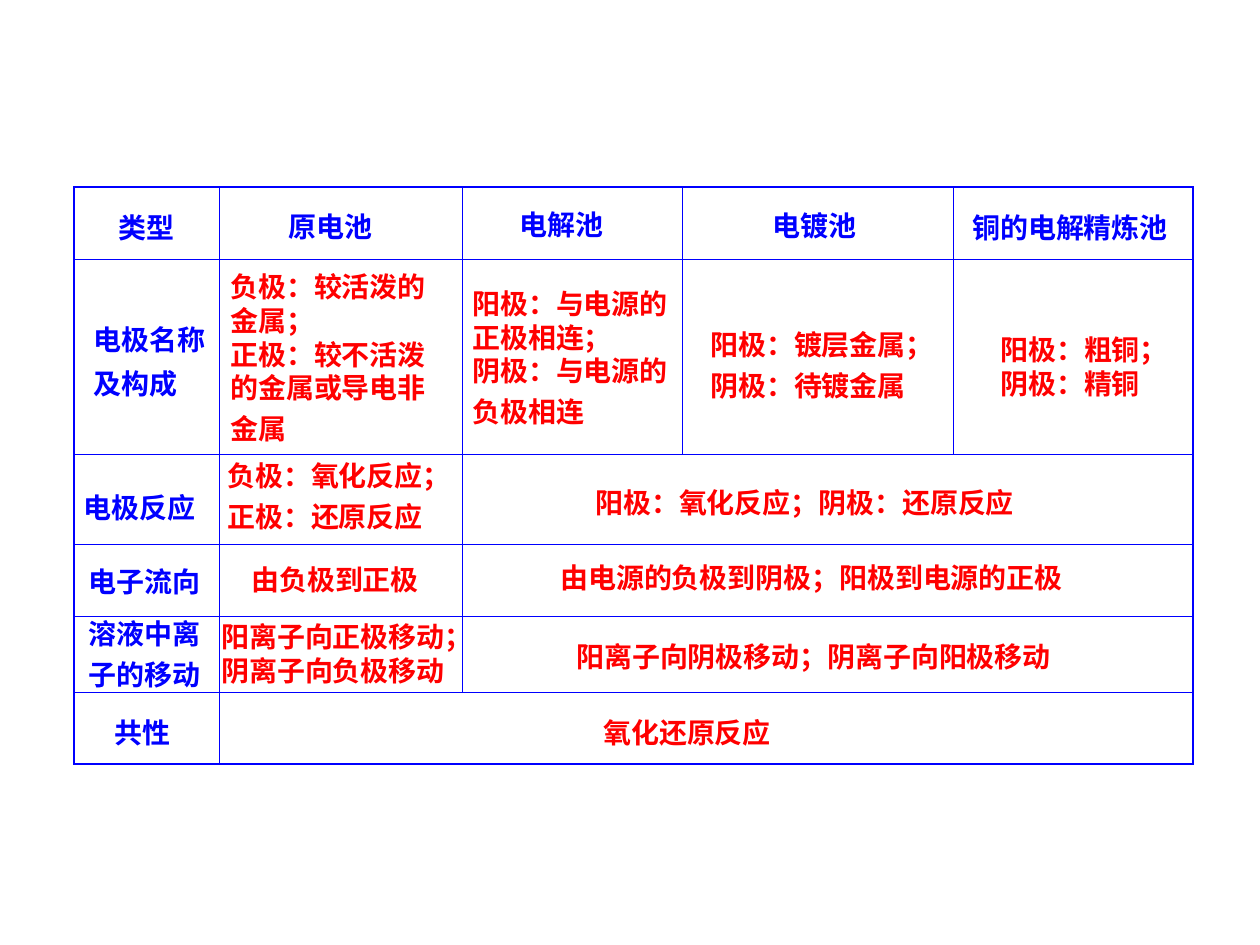
from lxml import etree
from pptx import Presentation
from pptx import util as u
from pptx.dml.color import RGBColor
from pptx.enum import text
from pptx.oxml.ns import qn

COLORS = {"heading": "0000FF", "body": "FF0000", "border": "0000FF"}
FONT = "Noto Sans CJK SC"
COLUMNS = [145, 243, 220, 271, 240]
ROWS = [72, 195, 90, 72, 76, 72]
MERGES = [(2, 2), (3, 2), (4, 2), (5, 1)]
THIN, THICK = 0.45, 1.08

HEADINGS = [
    (32, 16, 175, 47, ["类型"], {}),
    (202, 15, 141, 47, ["原电池"], {}),
    (433, 5, 160, 55, ["电解池"], {}),
    (686, 6, 180, 55, ["电镀池"], {}),
    (886, 8, 278, 55, ["铜的电解精炼池"], {}),
    (7, 118, 174, 101, ["电极名称", "及构成"], {"spacing": 1.3}),
    (-3, 275, 164, 68, ["电极反应"], {"spacing": 1.3}),
    (2, 349, 154, 68, ["电子流向"], {"spacing": 1.3}),
    (2, 422, 160, 88, ["溶液中离", "子的移动"], {"last_gap": 4}),
    (28, 500, 111, 68, ["共性"], {"spacing": 1.3}),
]
DETAILS = [
    (144, 75, 290, 189,
     ["负极：较活泼的", "金属；", "正极：较不活泼", "的金属或导电非", "金属"], {"last_gap": 4}),
    (386, 91, 290, 156,
     ["阳极：与电源的", "正极相连；", "阴极：与电源的", "负极相连"], {"last_gap": 4}),
    (624, 133, 386, 88, ["阳极：镀层金属；", "阴极：待镀金属"], {"last_gap": 4}),
    (914, 138, 229, 81, ["阳极：粗铜；", "阴极：精铜"], {}),
    (141, 264, 290, 88, ["负极：氧化反应；", "正极：还原反应"], {"last_gap": 4}),
    (509, 291, 621, 47, ["阳极：氧化反应；阴极：还原反应"], {}),
    (165, 347, 290, 68, ["由负极到正极"], {"spacing": 1.3}),
    (474, 356, 635, 57, ["由电源的负极到阴极；阳极到电源的正极"], {"spacing": 1.3}),
    (135, 425, 309, 81, ["阳离子向正极移动；", "阴离子向负极移动"], {}),
    (490, 424, 624, 68, ["阳离子向阴极移动；阴离子向阳极移动"], {"spacing": 1.3}),
    (517, 511, 421, 57, ["氧化还原反应"], {"spacing": 1.3}),
]


def px(length):
    """Turn px into EMU."""
    return u.Emu(round(length * 914400 / 126))


def set_borders(cell, widths):
    """Draw the left, right, top and bottom borders of a cell."""
    properties = cell._tc.get_or_add_tcPr()
    for index, (side, width) in enumerate(zip(("lnL", "lnR", "lnT", "lnB"), widths)):
        line = etree.Element(qn("a:" + side), w=str(u.Pt(width)))
        fill = etree.SubElement(line, qn("a:solidFill"))
        etree.SubElement(fill, qn("a:srgbClr"), val=COLORS["border"])
        properties.insert(index, line)


def add_grid(slide, box):
    """Add the ruled table with its merged cells."""
    table = slide.shapes.add_table(len(ROWS), len(COLUMNS), *map(px, box)).table
    table.first_row = table.horz_banding = False
    for column, width in zip(table.columns, COLUMNS):
        column.width = px(width)
    for row, height in zip(table.rows, ROWS):
        row.height = px(height)
    last_row, last_column = len(ROWS) - 1, len(COLUMNS) - 1
    for r in range(len(ROWS)):
        for c in range(len(COLUMNS)):
            cell = table.cell(r, c)
            cell.fill.background()
            outer = (c == 0, c == last_column, r == 0, r == last_row)
            set_borders(cell, [THICK if edge else THIN for edge in outer])
    for r, c in MERGES:
        merged = table.cell(r, c)
        merged.merge(table.cell(r, last_column))
        right = merged._tc.tcPr.find(qn("a:lnR"))
        right.set("w", str(u.Pt(THICK)))


def add_text(slide, box, lines, color, size=16, spacing=1.0, last_gap=0):
    """Add a bold text box with one paragraph for each line."""
    frame = slide.shapes.add_textbox(*map(px, box)).text_frame
    frame.word_wrap = True
    frame.vertical_anchor = text.MSO_ANCHOR.BOTTOM
    for index, line in enumerate(lines):
        paragraph = frame.paragraphs[0] if index == 0 else frame.add_paragraph()
        paragraph.line_spacing = spacing
        run = paragraph.add_run()
        run.text = line
        run.font.size = u.Pt(size)
        run.font.bold = True
        run.font.name = FONT
        run.font.color.rgb = RGBColor.from_string(COLORS[color])
        east_asian = etree.SubElement(run._r.get_or_add_rPr(), qn("a:ea"))
        east_asian.set("typeface", FONT)
    if last_gap:
        paragraph.space_before = u.Pt(last_gap)


def add_comparison(slide, box):
    """Add the comparison of cell types: the grid and its labels."""
    left, top = box[:2]
    add_grid(slide, box)
    for color, labels in (("heading", HEADINGS), ("body", DETAILS)):
        for x, y, width, height, lines, style in labels:
            add_text(slide, (left + x, top + y, width, height), lines, color, **style)


def main():
    """Build and save the presentation."""
    presentation = Presentation()
    presentation.slide_width, presentation.slide_height = px(1260), px(945)
    slide = presentation.slides.add_slide(presentation.slide_layouts[6])
    add_comparison(slide, (74, 187, sum(COLUMNS), sum(ROWS)))
    presentation.save("out.pptx")


if __name__ == "__main__":
    main()
